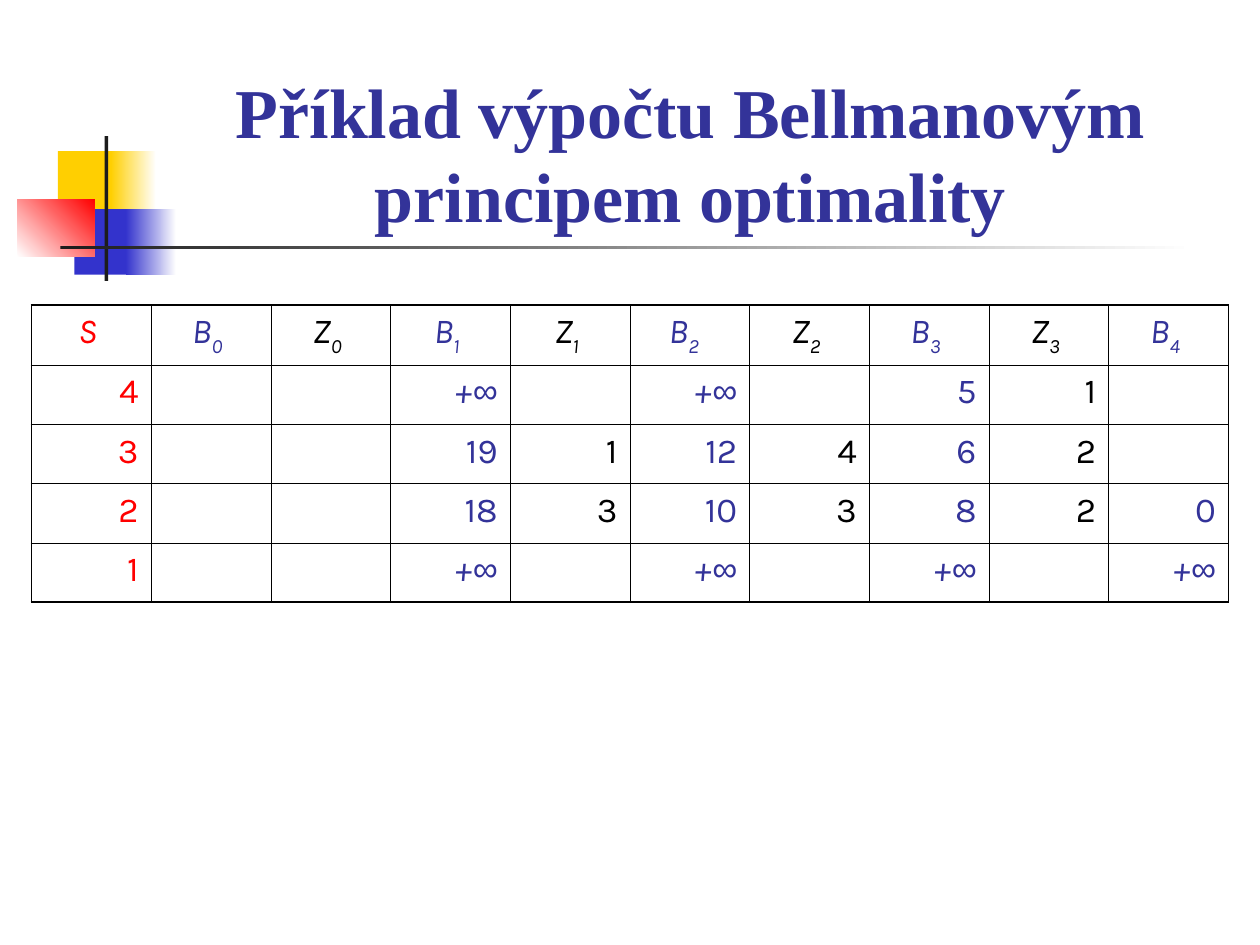
import pptx
import pptx.util
import pptx.dml.color
import pptx.enum.shapes
import pptx.enum.text
import pptx.oxml
import pptx.oxml.ns
from pptx.util import Inches, Pt

# Content
TITLE = "Příklad výpočtu Bellmanovým principem optimality"
HEADERS = [("S", ""), ("B", "0"), ("Z", "0"), ("B", "1"), ("Z", "1"),
           ("B", "2 "), ("Z", "2"), ("B", "3"), ("Z", "3"), ("B", "4")]
ROWS = [
    ["4", "", "", "+∞", "", "+∞", "", "5", "1", ""],
    ["3", "", "", "19", "1", "12", "4", "6", "2", ""],
    ["2", "", "", "18", "3", "10", "3", "8", "2", "0"],
    ["1", "", "", "+∞", "", "+∞", "", "+∞", "", "+∞"],
]

# Look
RED, NAVY, BLACK, WHITE = "FF0000", "333399", "000000", "FFFFFF"
YELLOW, BLUE, DARK = "FFCF01", "3333CC", "1C1C1C"
COLUMN_COLOURS = {"S": RED, "B": NAVY, "Z": BLACK}
COLUMN_WIDTH, HEADER_HEIGHT, ROW_HEIGHT = 0.95, 0.48, 0.47
INNER_LINE, OUTER_LINE = 0.45, 1.08

# left, top, width, height, colours (two make a gradient), gradient angle
ORNAMENT = [
    (0.46, 1.2, 0.48, 0.52, [YELLOW], 0),
    (0.88, 1.2, 0.36, 0.52, [YELLOW, WHITE], 0),
    (0.59, 1.66, 0.46, 0.52, [BLUE], 0),
    (1, 1.66, 0.4, 0.52, [BLUE, WHITE], 0),
    (0.14, 1.58, 0.61, 0.46, [WHITE, RED], 45),
    (0.83, 1.08, 0.03, 1.15, [DARK], 0),
    (0.48, 1.95, 9, 0.03, [DARK, WHITE], 0),
]


def paint(colour_format, colour):
    colour_format.rgb = pptx.dml.color.RGBColor.from_string(colour)


def add_ornament(page, left, top, width, height, colours, angle):
    block = page.shapes.add_shape(
        pptx.enum.shapes.MSO_SHAPE.RECTANGLE,
        Inches(left), Inches(top), Inches(width), Inches(height))
    block.shadow.inherit = False
    block.line.fill.background()
    if len(colours) == 1:
        block.fill.solid()
        paint(block.fill.fore_color, colours[0])
    else:
        block.fill.gradient()
        block.fill.gradient_angle = angle
        for stop, colour in zip(block.fill.gradient_stops, colours):
            paint(stop.color, colour)


def add_span(para, text, colour, size, font, bold=False, italic=False, baseline=0):
    span = para.add_run()
    span.text = text
    span.font.size, span.font.name = Pt(size), font
    span.font.bold, span.font.italic = bold, italic
    paint(span.font.color, colour)
    if baseline:
        span.font._element.set("baseline", str(baseline * 1000))


def set_borders(cell, widths):
    properties = cell._tc.get_or_add_tcPr()
    for place, (side, width) in enumerate(widths.items()):
        properties.insert(place, pptx.oxml.parse_xml(
            f'<a:ln{side} {pptx.oxml.ns.nsdecls("a")} w="{Pt(width)}">'
            f'<a:solidFill><a:srgbClr val="{BLACK}"/></a:solidFill></a:ln{side}>'))


def fill_cell(cell, row, column):
    letter, index = HEADERS[column]
    colour = COLUMN_COLOURS[letter]
    para = cell.text_frame.paragraphs[0]
    if row == 0:
        para.alignment = pptx.enum.text.PP_ALIGN.CENTER
        add_span(para, letter, colour, 20, "Karla", italic=True)
        if index:
            add_span(para, index, colour, 20, "Karla", italic=True, baseline=-30)
        return
    para.alignment = pptx.enum.text.PP_ALIGN.RIGHT
    value = ROWS[row - 1][column]
    if not value:
        para.font.size = Pt(18)
    elif value == "+∞":
        add_span(para, "+", colour, 20, "Karla", italic=True)
        add_span(para, "∞", colour, 20, "Arial", italic=True)
    else:
        add_span(para, value, colour, 20, "Karla")


def add_table(page):
    last_row, last_column = len(ROWS), len(HEADERS) - 1
    frame = page.shapes.add_table(
        len(ROWS) + 1, len(HEADERS), Inches(0.25), Inches(2.42),
        Inches(COLUMN_WIDTH * len(HEADERS)),
        Inches(HEADER_HEIGHT + ROW_HEIGHT * len(ROWS)))
    table = frame.table
    table.first_row = table.horz_banding = False
    for column in table.columns:
        column.width = Inches(COLUMN_WIDTH)
    for row, line in enumerate(table.rows):
        line.height = Inches(ROW_HEIGHT if row else HEADER_HEIGHT)
        for column, cell in enumerate(line.cells):
            cell.margin_left, cell.margin_right = Inches(0.04), Inches(0.1)
            cell.margin_top = cell.margin_bottom = Inches(0.05)
            cell.fill.background()
            edges = {"L": column == 0, "R": column == last_column,
                     "T": row == 0, "B": row == last_row}
            set_borders(cell, {side: OUTER_LINE if outer else INNER_LINE
                               for side, outer in edges.items()})
            fill_cell(cell, row, column)


def add_title(page):
    title = page.shapes.title
    title.left, title.top = Inches(1.22), Inches(0.68)
    title.width, title.height = Inches(8.52), Inches(1.25)
    box = title.text_frame
    box.word_wrap = True
    box.auto_size = pptx.enum.text.MSO_AUTO_SIZE.NONE
    box.vertical_anchor = pptx.enum.text.MSO_ANCHOR.BOTTOM
    para = box.paragraphs[0]
    para.alignment = pptx.enum.text.PP_ALIGN.CENTER
    para.line_spacing = Pt(48)
    add_span(para, TITLE, NAVY, 40, "Times New Roman", bold=True)


def main():
    deck = pptx.Presentation()
    deck.slide_width, deck.slide_height = Inches(10), Inches(7.5)
    page = deck.slides.add_slide(deck.slide_layouts[5])  # title only
    for part in ORNAMENT:
        add_ornament(page, *part)
    add_title(page)
    add_table(page)
    deck.save("out.pptx")


if __name__ == "__main__":
    main()
